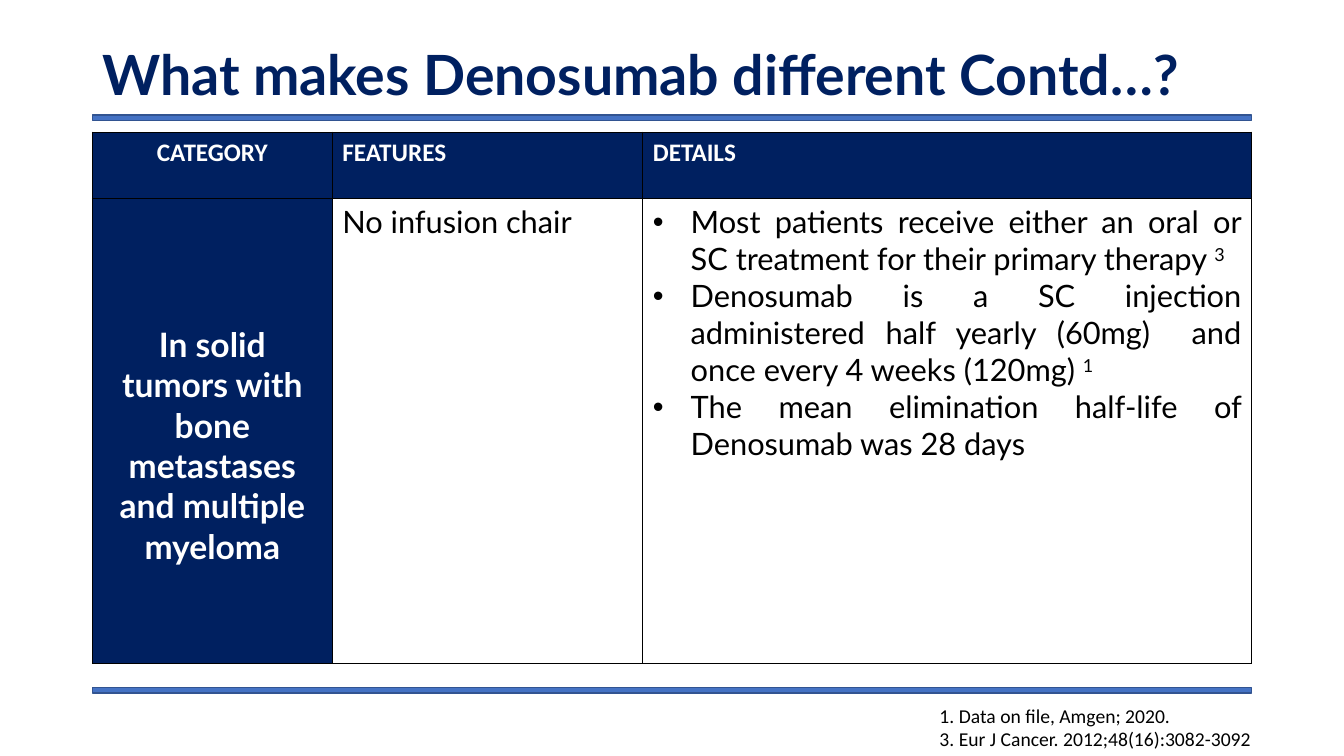
from lxml.etree import SubElement
from pptx import Presentation
from pptx.dml.color import RGBColor
from pptx.enum.shapes import MSO_SHAPE
from pptx.enum.text import MSO_ANCHOR, PP_ALIGN
from pptx.oxml.ns import qn
from pptx.util import Pt

COLORS = {"navy": "002060", "bar": "4472C4", "bar_edge": "325491",
          "white": "FFFFFF", "black": "000000"}
LEFT, WIDTH = 66, 828
COLUMN_WIDTHS = [171.4, 221.8, 434.8]
ROW_HEIGHTS = [47.4, 332]
HEADERS = ["CATEGORY", "FEATURES", "DETAILS"]
CATEGORY = "In solid tumors with bone metastases and multiple myeloma"
# Each detail is a text and its reference number.
DETAILS = [
    ("Most patients receive either an oral or SC treatment for their primary therapy ", "3"),
    ("Denosumab is a SC injection administered half yearly (60mg)  and "
     "once every 4 weeks (120mg) ", "1"),
    ("The mean elimination half-life of Denosumab was 28 days", ""),
]
REFERENCES = ["1. Data on file, Amgen; 2020.",
              "3. Eur J Cancer. 2012;48(16):3082-3092"]


def color(name):
    return RGBColor.from_string(COLORS[name])


def add_span(para, text, size, font, tint, bold=False, raised=False):
    span = para.add_run()
    span.text = text
    span.font.size = Pt(size)
    span.font.name = font
    span.font.bold = bold
    span.font.color.rgb = color(tint)
    if raised:
        span.font._element.set("baseline", "30000")


def next_paragraph(frame, index):
    return frame.paragraphs[0] if index == 0 else frame.add_paragraph()


def add_bullet(para, indent):
    properties = para._p.get_or_add_pPr()
    properties.set("marL", str(Pt(indent)))
    properties.set("indent", str(-Pt(indent)))
    SubElement(properties, qn("a:buFont"), typeface="Arial")
    SubElement(properties, qn("a:buChar"), char="•")


def add_bar(page, top):
    bar = page.shapes.add_shape(MSO_SHAPE.RECTANGLE, Pt(LEFT), Pt(top), Pt(WIDTH), Pt(4))
    bar.shadow.inherit = False
    bar.fill.solid()
    bar.fill.fore_color.rgb = color("bar")
    bar.line.color.rgb = color("bar_edge")
    bar.line.width = Pt(1)


def add_text(page, left, top, width, height, lines, size, font, tint, bold=False):
    box = page.shapes.add_textbox(Pt(left), Pt(top), Pt(width), Pt(height))
    frame = box.text_frame
    frame.word_wrap = True
    for index, line in enumerate(lines):
        add_span(next_paragraph(frame, index), line, size, font, tint, bold)
    return frame


def style_cell(cell, fill=None):
    """Draw a thin black border on all sides, then set the fill."""
    properties = cell._tc.get_or_add_tcPr()
    for side in ("lnL", "lnR", "lnT", "lnB"):
        line = SubElement(properties, qn(f"a:{side}"), w=str(Pt(1)))
        solid = SubElement(line, qn("a:solidFill"))
        SubElement(solid, qn("a:srgbClr"), val=COLORS["black"])
    if fill:
        cell.fill.solid()
        cell.fill.fore_color.rgb = color(fill)
    else:
        cell.fill.background()


def add_feature_table(page):
    table = page.shapes.add_table(2, 3, Pt(LEFT), Pt(94.4), Pt(WIDTH),
                                  Pt(sum(ROW_HEIGHTS))).table
    table.first_row = table.horz_banding = False
    for column, width in zip(table.columns, COLUMN_WIDTHS):
        column.width = Pt(width)
    for row, height in zip(table.rows, ROW_HEIGHTS):
        row.height = Pt(height)

    for index, header in enumerate(HEADERS):
        cell = table.cell(0, index)
        style_cell(cell, "navy")
        para = cell.text_frame.paragraphs[0]
        para.alignment = PP_ALIGN.CENTER if index == 0 else PP_ALIGN.LEFT
        add_span(para, header, 18, "Calibri", "white", bold=True)

    category, feature, details = (table.cell(1, index) for index in range(3))
    style_cell(category, "navy")
    category.margin_top = Pt(90)
    para = category.text_frame.paragraphs[0]
    para.alignment = PP_ALIGN.CENTER
    add_span(para, CATEGORY, 24, "Lato", "white", bold=True)

    style_cell(feature)
    para = feature.text_frame.paragraphs[0]
    para.alignment = PP_ALIGN.JUSTIFY
    add_span(para, "No infusion chair", 22, "Lato", "black")

    style_cell(details)
    for index, (text, reference) in enumerate(DETAILS):
        para = next_paragraph(details.text_frame, index)
        para.alignment = PP_ALIGN.JUSTIFY
        add_bullet(para, 27)
        add_span(para, text, 22, "Lato", "black")
        if reference:
            add_span(para, reference, 22, "Lato", "black", raised=True)


def main():
    deck = Presentation()
    deck.slide_width, deck.slide_height = Pt(960), Pt(540)
    page = deck.slides.add_slide(deck.slide_layouts[6])
    for top in (82, 491):
        add_bar(page, top)
    title = add_text(page, LEFT, 28.8, WIDTH, 53.4,
                     ["What makes Denosumab different Contd…?"], 39.6, "Lato", "navy", bold=True)
    title.vertical_anchor = MSO_ANCHOR.MIDDLE
    title.paragraphs[0].line_spacing = 0.9
    add_feature_table(page)
    add_text(page, 664, 499, 252.6, 41, REFERENCES, 14, "Calibri", "black")
    deck.save("out.pptx")


if __name__ == "__main__":
    main()
